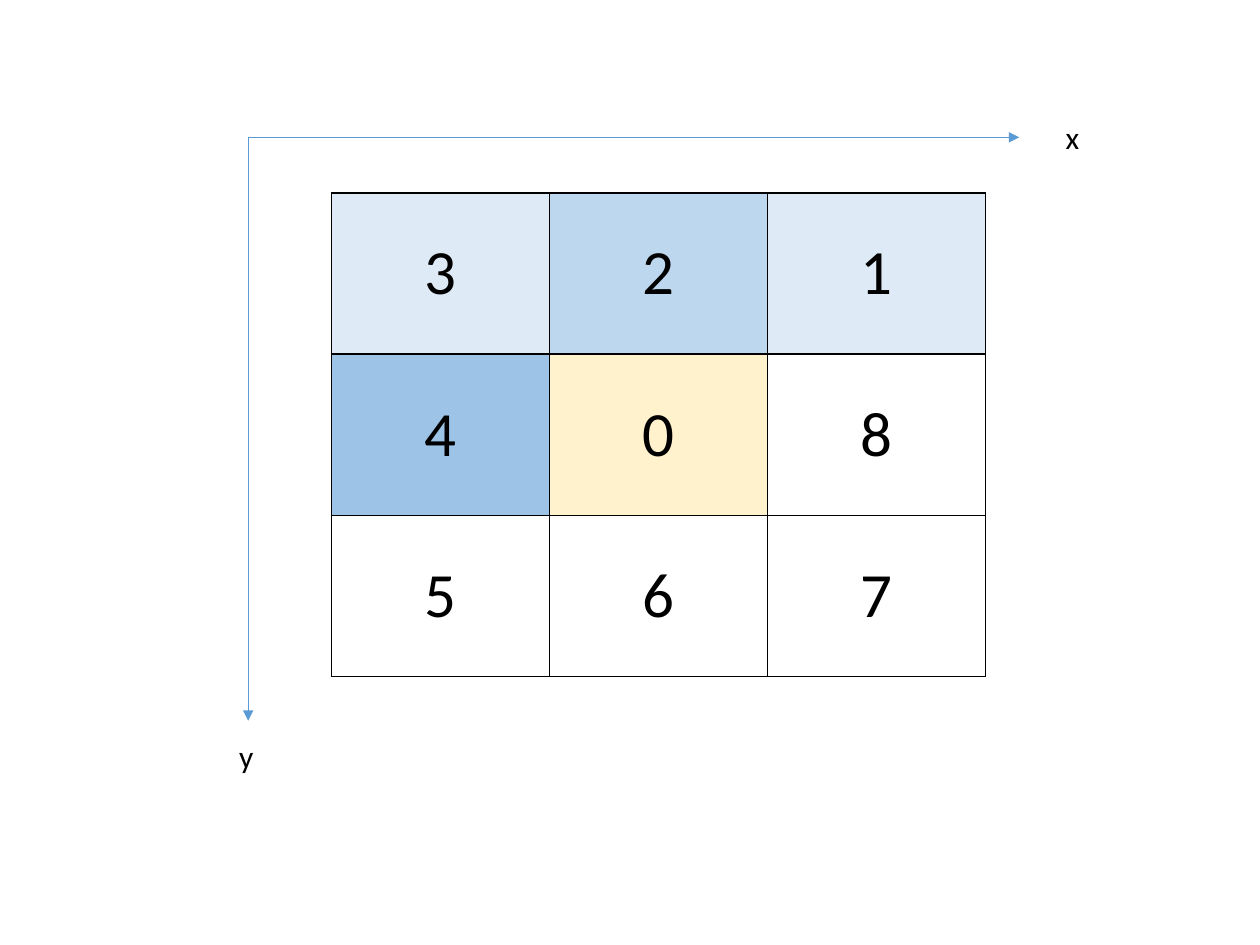
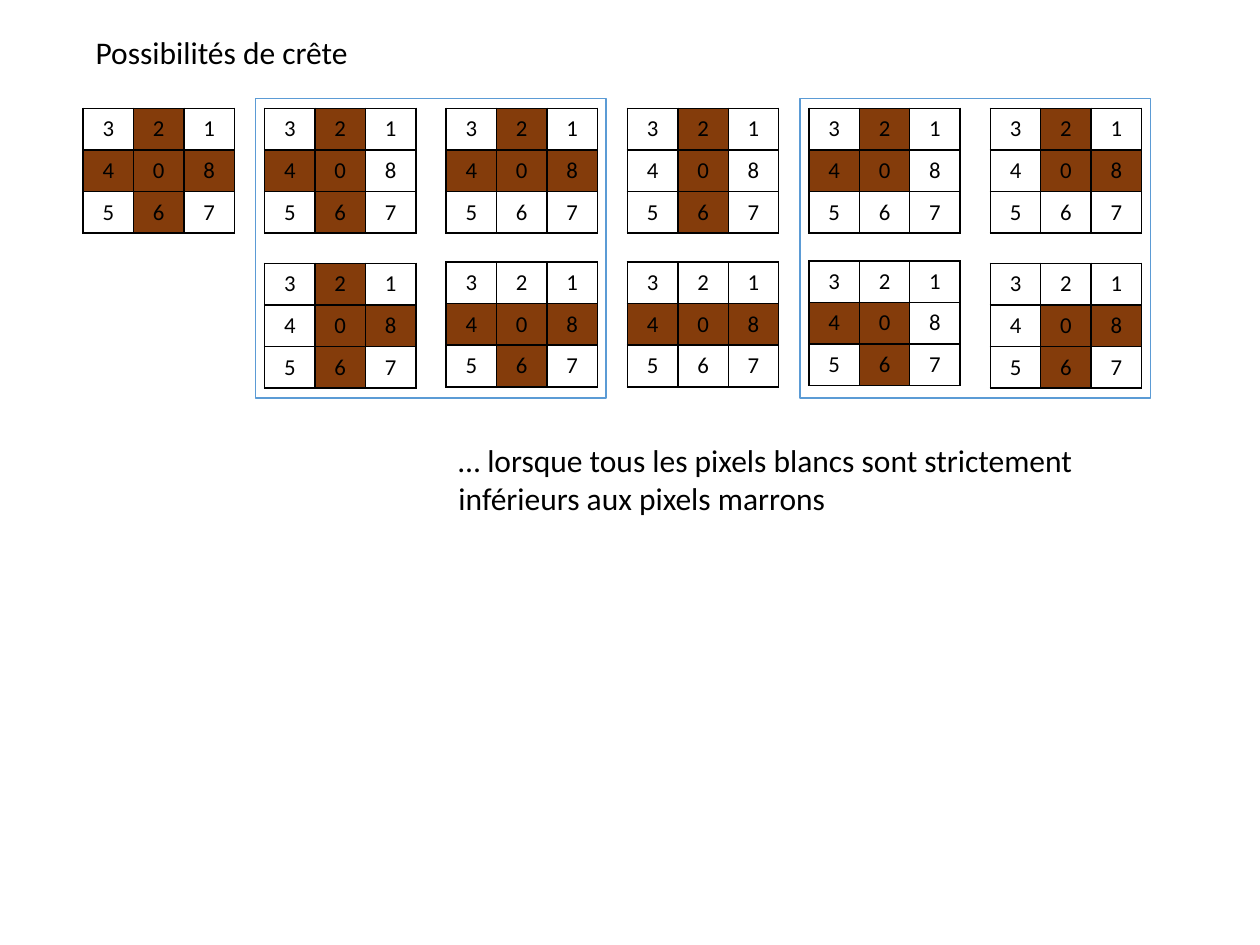
"""Build two slides on pixel neighbourhoods and ridge patterns."""
import pptx
import pptx.dml.color
import pptx.enum.shapes
import pptx.enum.text
import pptx.oxml.ns
import pptx.util
from lxml import etree

Inches = pptx.util.Inches
RGBColor = pptx.dml.color.RGBColor

BLACK = RGBColor(0x00, 0x00, 0x00)
BLUE = RGBColor(0x5B, 0x9B, 0xD5)
PALE_BLUE = RGBColor(0xDE, 0xEB, 0xF7)
LIGHT_BLUE = RGBColor(0xBD, 0xD7, 0xEE)
MEDIUM_BLUE = RGBColor(0x9D, 0xC3, 0xE6)
CREAM = RGBColor(0xFF, 0xF2, 0xCC)
BROWN = RGBColor(0x84, 0x3C, 0x0B)

NEIGHBOURS = ("321", "408", "567")
GRID_LEFT = 0.66
GRID_PITCH = 1.44
UPPER_TOP = 0.86
UPPER_RIDGES = ("24086", "2406", "2408", "206", "240", "208")
LOWER_RIDGES = ((2.09, "2086"), (2.08, "4086"), (2.08, "408"), (2.07, "406"), (2.09, "086"))


class Deck:
    font = "Calibri"
    label_size = 18

    def __init__(self):
        self.presentation = pptx.Presentation()
        self.presentation.slide_width = Inches(10)
        self.presentation.slide_height = Inches(7.5)
        self.slide = None

    def add_slide(self):
        self.slide = self.presentation.slides.add_slide(self.presentation.slide_layouts[6])

    def format_runs(self, paragraph, size):
        for run in paragraph.runs:
            run.font.name = self.font
            run.font.size = pptx.util.Pt(size)
            run.font.bold = False
            run.font.color.rgb = BLACK

    def label(self, text, left, top, width, height=0.4):
        shape = self.slide.shapes.add_textbox(
            Inches(left), Inches(top), Inches(width), Inches(height))
        text_frame = shape.text_frame
        text_frame.word_wrap = True
        text_frame.auto_size = pptx.enum.text.MSO_AUTO_SIZE.SHAPE_TO_FIT_TEXT
        text_frame.text = text
        self.format_runs(text_frame.paragraphs[0], self.label_size)

    def axis(self, start, end):
        connector = self.slide.shapes.add_connector(
            pptx.enum.shapes.MSO_CONNECTOR.STRAIGHT, *map(Inches, start + end))
        connector.line.color.rgb = BLUE
        connector.line.width = pptx.util.Pt(0.5)
        line = connector.line._get_or_add_ln()
        etree.SubElement(line, pptx.oxml.ns.qn("a:tailEnd"), type="triangle")
        etree.SubElement(connector._element.spPr, pptx.oxml.ns.qn("a:effectLst"))

    def frame(self, left, top, width, height):
        shape = self.slide.shapes.add_shape(
            pptx.enum.shapes.MSO_SHAPE.RECTANGLE,
            Inches(left), Inches(top), Inches(width), Inches(height))
        shape.shadow.inherit = False
        shape.fill.background()
        shape.line.color.rgb = BLUE
        shape.line.width = pptx.util.Pt(0.75)

    def border(self, cell):
        properties = cell._tc.get_or_add_tcPr()
        for side in ("a:lnL", "a:lnR", "a:lnT", "a:lnB"):
            line = etree.SubElement(
                properties, pptx.oxml.ns.qn(side), w=str(pptx.util.Pt(1)))
            fill = etree.SubElement(line, pptx.oxml.ns.qn("a:solidFill"))
            etree.SubElement(fill, pptx.oxml.ns.qn("a:srgbClr"), val=str(BLACK))

    def neighbourhood(self, left, top, cell_width, cell_height, size, fills, insets=(0.1, 0.05)):
        table = self.slide.shapes.add_table(
            3, 3, Inches(left), Inches(top),
            Inches(3 * cell_width), Inches(3 * cell_height)).table
        table.first_row = False
        table.horz_banding = False
        for column in table.columns:
            column.width = Inches(cell_width)
        for row, digits in zip(table.rows, NEIGHBOURS):
            row.height = Inches(cell_height)
            for cell, digit in zip(row.cells, digits):
                self.fill_cell(cell, digit, size, fills.get(digit), insets)

    def fill_cell(self, cell, digit, size, color, insets):
        self.border(cell)
        if color is None:
            cell.fill.background()
        else:
            cell.fill.solid()
            cell.fill.fore_color.rgb = color
        cell.margin_left = cell.margin_right = Inches(insets[0])
        cell.margin_top = cell.margin_bottom = Inches(insets[1])
        cell.vertical_anchor = pptx.enum.text.MSO_ANCHOR.MIDDLE
        cell.text_frame.text = digit
        paragraph = cell.text_frame.paragraphs[0]
        paragraph.alignment = pptx.enum.text.PP_ALIGN.CENTER
        self.format_runs(paragraph, size)

    def ridge(self, column, top, pixels):
        self.neighbourhood(
            GRID_LEFT + column * GRID_PITCH, top, 0.4, 0.33, 13,
            dict.fromkeys(pixels, BROWN), insets=(0.04, 0.02))


def build_numbering(deck):
    deck.add_slide()
    fills = {"3": PALE_BLUE, "2": LIGHT_BLUE, "1": PALE_BLUE, "4": MEDIUM_BLUE, "0": CREAM}
    deck.neighbourhood(2.63, 1.53, 1.73, 1.28, 36, fills)
    deck.axis((1.98, 1.09), (8.09, 1.09))
    deck.axis((1.97, 1.09), (1.97, 5.72))
    deck.label("y", 1.8, 5.8, 0.35)
    deck.label("x", 8.36, 0.89, 0.75)


def build_ridges(deck):
    deck.add_slide()
    deck.label("Possibilités de crête", GRID_LEFT, 0.21, 8.92)
    for column, pixels in enumerate(UPPER_RIDGES):
        deck.ridge(column, UPPER_TOP, pixels)
    for column, (top, pixels) in enumerate(LOWER_RIDGES, start=1):
        deck.ridge(column, top, pixels)
    deck.label(
        "… lorsque tous les pixels blancs sont strictement inférieurs aux pixels marrons",
        3.54, 3.45, 5.52, 0.71)
    for left in (2.03, 6.35):
        deck.frame(left, 0.78, 2.78, 2.38)


def main():
    deck = Deck()
    build_numbering(deck)
    build_ridges(deck)
    deck.presentation.save("out.pptx")


if __name__ == "__main__":
    main()
